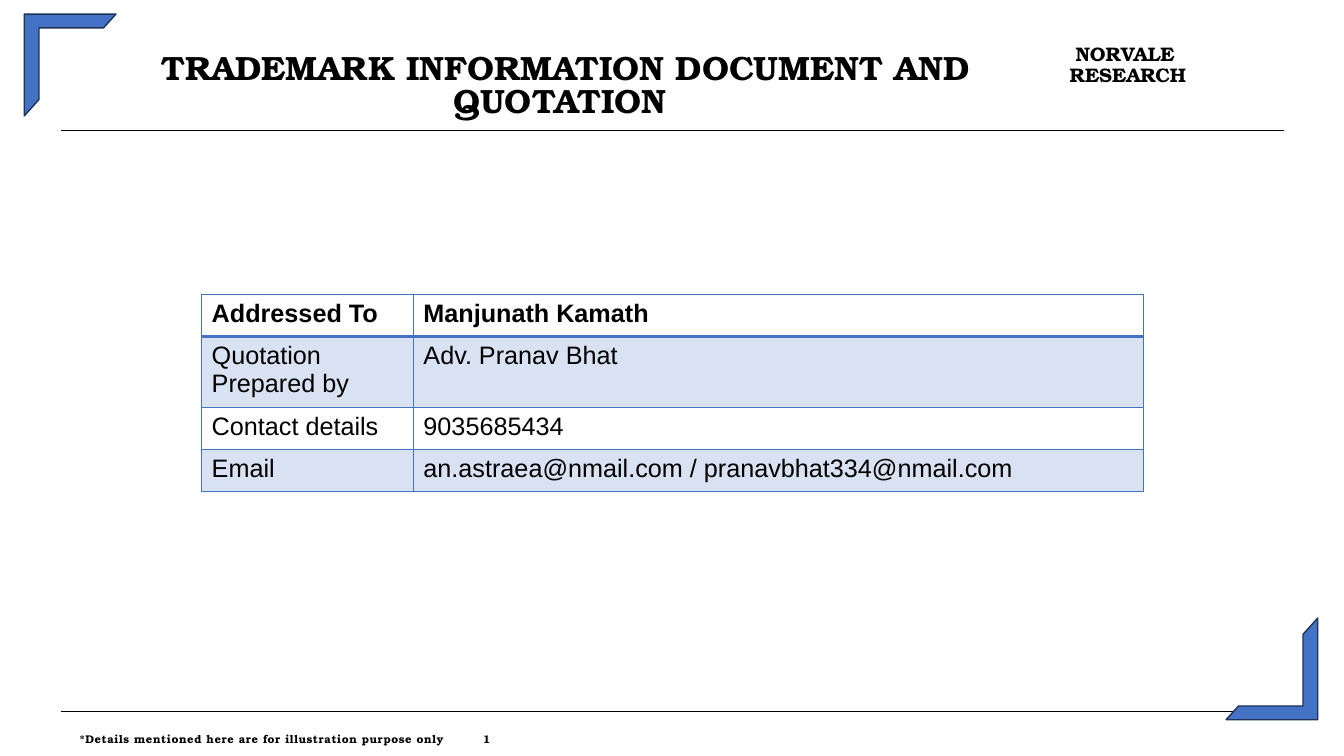
from dataclasses import dataclass

from lxml.etree import SubElement
from pptx import Presentation
from pptx.dml.color import RGBColor
from pptx.enum.shapes import MSO_CONNECTOR, MSO_SHAPE
from pptx.enum.text import MSO_ANCHOR, PP_ALIGN
from pptx.oxml.ns import qn
from pptx.util import Inches, Pt

COLORS = {"ink": "000000", "blue": "4472C4", "navy": "1E3256"}
SERIF, SANS = "TeX Gyre Bonum", "Arial"


@dataclass
class Label:
    text: str
    left: float
    top: float
    width: float
    height: float
    size: float
    gap: float  # line spacing
    track: int = 0  # letter spacing, 1/100 pt
    indent: float = 0
    align: PP_ALIGN = PP_ALIGN.LEFT
    tab: float = 0


@dataclass
class Corner:
    left: float
    top: float
    turn: int


@dataclass
class Row:
    head: str
    value: str
    height: float
    bold: bool = False
    tint: bool = False


LABELS = [
    Label("TRADEMARK INFORMATION DOCUMENT AND QUOTATION ",
          0.65, 0.54, 9.91, 0.7, 24, 0.82, align=PP_ALIGN.CENTER),
    Label("NORVALE RESEARCH", 10.6, 0.45, 1.2, 0.43, 14, 0.87, indent=0.06),
    Label("*Details mentioned here are for illustration purpose only\t1",
          0.78, 7.29, 11.92, 0.14, 8, 0.84, track=40, tab=11.02),
]
CORNERS = [Corner(0.24, 0.14, 0), Corner(12.16, 6.13, 180)]
RULES = [1.29, 7.06]
ROWS = [
    Row("Addressed To", "Manjunath Kamath", 0.42, bold=True),
    Row("Quotation Prepared by", "Adv. Pranav Bhat", 0.66, tint=True),
    Row("Contact details", "9035685434", 0.42),
    Row("Email", "an.astraea@nmail.com / pranavbhat334@nmail.com", 0.42,
        tint=True),
]
WIDTHS = [2.1, 7.24]


def color(name: str) -> RGBColor:
    return RGBColor.from_string(COLORS[name])


def add_run(para, text: str, face: str, size: float, bold: bool):
    run = para.add_run()
    run.text = text
    font = run.font
    font.name, font.size, font.bold = face, Pt(size), bold
    font.color.rgb = color("ink")
    return run


def add_label(slide, label: Label) -> None:
    box = slide.shapes.add_textbox(Inches(label.left), Inches(label.top),
                                   Inches(label.width), Inches(label.height))
    frame = box.text_frame
    frame.word_wrap = True
    frame.margin_left = frame.margin_right = 0
    frame.margin_top = frame.margin_bottom = 0
    para = frame.paragraphs[0]
    para.alignment, para.line_spacing = label.align, label.gap
    props = para._p.get_or_add_pPr()
    props.set("marL", str(Inches(0.01)))
    props.set("indent", str(Inches(label.indent)))
    if label.tab:
        stops = SubElement(props, qn("a:tabLst"))
        SubElement(stops, qn("a:tab"), pos=str(Inches(label.tab)), algn="l")
    run = add_run(para, label.text, SERIF, label.size, True)
    if label.track:
        run._r.get_or_add_rPr().set("spc", str(label.track))


def add_rule(slide, top: float) -> None:
    rule = slide.shapes.add_connector(MSO_CONNECTOR.STRAIGHT, Inches(0.61),
                                      Inches(top), Inches(12.73), Inches(top))
    rule.line.color.rgb = color("ink")
    rule.line.width = Pt(0.48)
    SubElement(rule._element.spPr, qn("a:effectLst"))


def add_corner(slide, corner: Corner) -> None:
    shape = slide.shapes.add_shape(MSO_SHAPE.HALF_FRAME, Inches(corner.left),
                                   Inches(corner.top), Inches(0.91), Inches(1.01))
    shape.adjustments[0], shape.adjustments[1] = 0.15, 0.161
    shape.rotation = corner.turn
    shape.shadow.inherit = False
    shape.fill.solid()
    shape.fill.fore_color.rgb = color("blue")
    shape.line.color.rgb = color("navy")
    shape.line.width = Pt(1)


def add_edges(cell, base: float) -> None:
    """Outline a cell, with its bottom edge base points wide."""
    props = cell._tc.get_or_add_tcPr()
    for side, width in (("L", 1), ("R", 1), ("T", 1), ("B", base)):
        edge = SubElement(props, qn(f"a:ln{side}"), w=str(Pt(width)))
        fill = SubElement(edge, qn("a:solidFill"))
        SubElement(fill, qn("a:srgbClr"), val=COLORS["blue"])


def fill_cell(cell, tint: bool) -> None:
    if not tint:
        cell.fill.background()
        return
    cell.fill.solid()
    cell.fill.fore_color.rgb = color("blue")
    tone = cell._tc.tcPr.find(qn("a:solidFill")).find(qn("a:srgbClr"))
    SubElement(tone, qn("a:alpha"), val="20000")


def add_grid(slide) -> None:
    height = sum(row.height for row in ROWS)
    table = slide.shapes.add_table(len(ROWS), len(WIDTHS), Inches(2), Inches(2.92),
                                   Inches(sum(WIDTHS)), Inches(height)).table
    table.first_row = table.horz_banding = False
    for col, width in zip(table.columns, WIDTHS):
        col.width = Inches(width)
    for i, row in enumerate(ROWS):
        table.rows[i].height = Inches(row.height)
        for j, text in enumerate((row.head, row.value)):
            cell = table.cell(i, j)
            cell.vertical_anchor = MSO_ANCHOR.TOP
            add_edges(cell, 2 if row.bold else 1)
            fill_cell(cell, row.tint)
            add_run(cell.text_frame.paragraphs[0], text, SANS, 18, row.bold)


def main() -> None:
    deck = Presentation()
    deck.slide_width, deck.slide_height = Inches(13.33), Inches(7.5)
    slide = deck.slides.add_slide(deck.slide_layouts[6])
    for top in RULES:
        add_rule(slide, top)
    for corner in CORNERS:
        add_corner(slide, corner)
    for label in LABELS:
        add_label(slide, label)
    add_grid(slide)
    deck.save("out.pptx")


if __name__ == "__main__":
    main()
